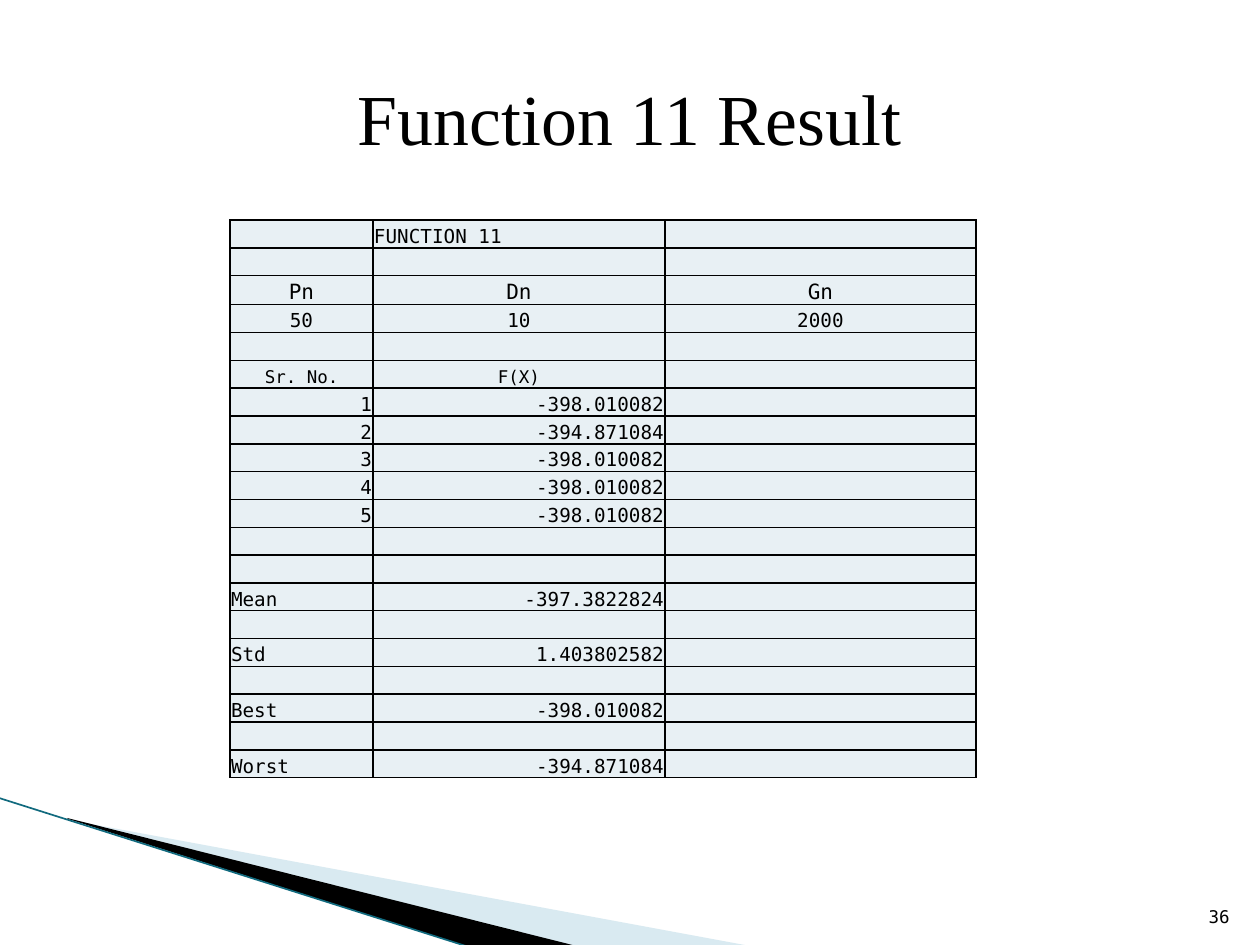
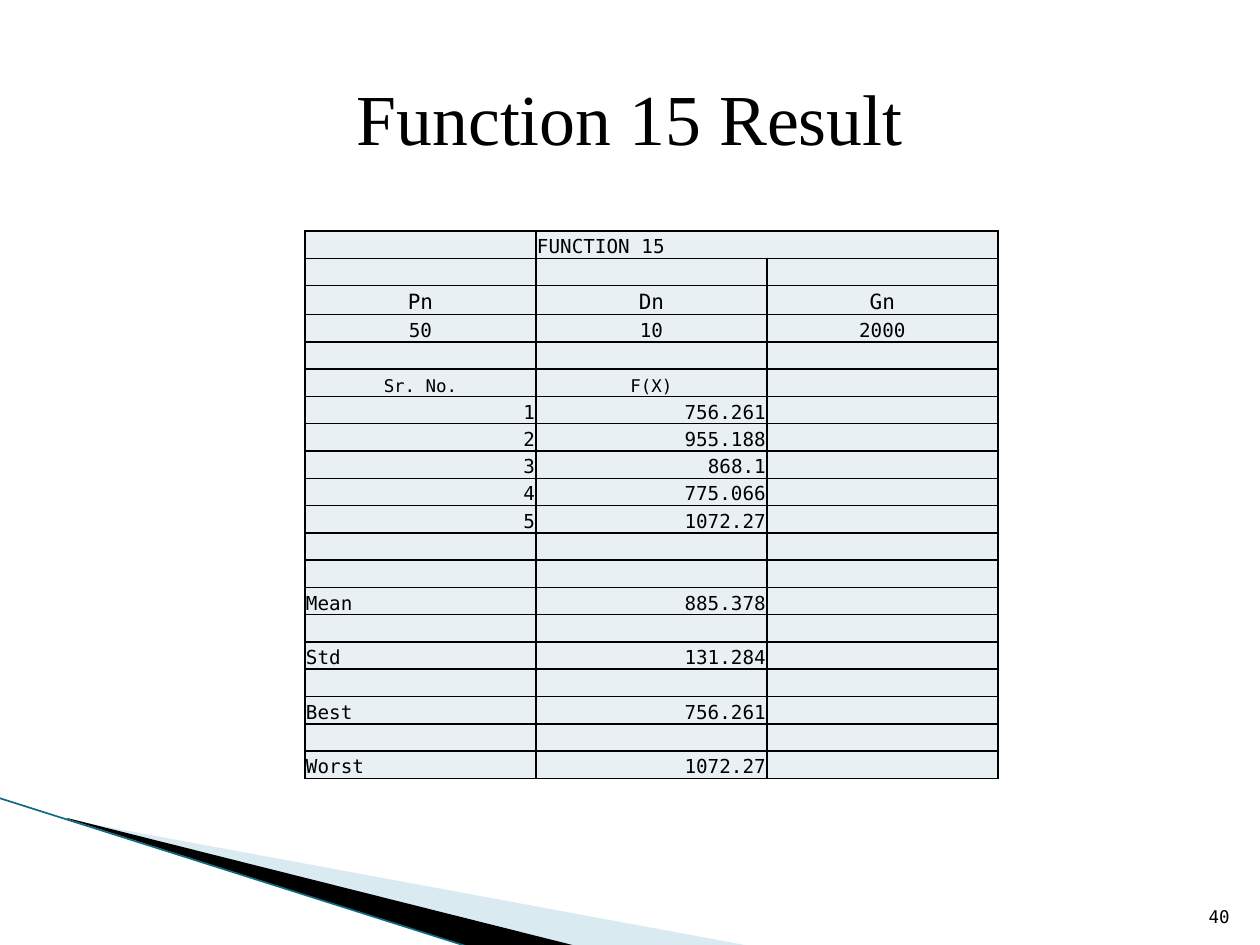
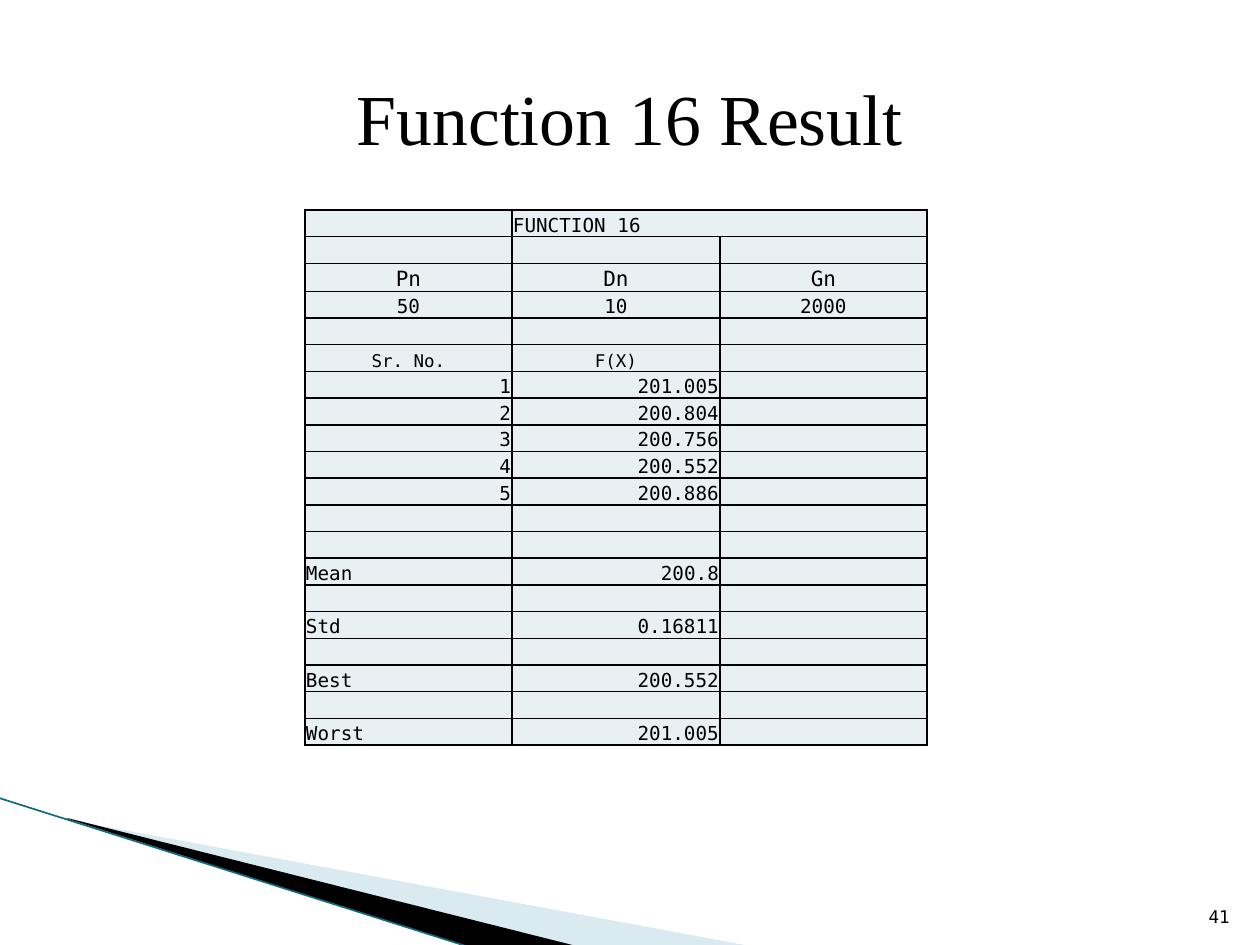
"""Build three slides of optimisation results, one table per test function."""
from lxml import etree
from pptx import Presentation, util as u
from pptx.dml.color import RGBColor
from pptx.enum import shapes, text
from pptx.oxml.ns import qn

PX = 914400 / 126
MONO, SERIF = "DejaVu Sans Mono", "Times New Roman"
BLACK, CELL, BAND, EDGE = "000000", "E8F0F4", "A0CBDC", "116A7E"
LEFT, CENTER, RIGHT = text.PP_ALIGN.LEFT, text.PP_ALIGN.CENTER, text.PP_ALIGN.RIGHT
MIDDLE, BOTTOM = text.MSO_ANCHOR.MIDDLE, text.MSO_ANCHOR.BOTTOM

BANDS = [
    (BAND, 40, [(69, 820), (750, 946), (575, 946), (69, 819)]),
    (BLACK, 100, [(67, 818), (576, 946), (469, 947), (68, 819)]),
]
EDGE_LINE = (-1, 798, 469, 947)
TITLE_BOX = (63, 38, 1134, 157)
NUMBER_BOX = (1192, 883, 50, 50)

RESULTS = [
    {"function": 11, "page": 36, "at": (230, 220), "columns": (143, 292, 311),
     "height": 558, "head": 29, "merged": False,
     "runs": ["-398.010082", "-394.871084", "-398.010082", "-398.010082", "-398.010082"],
     "stats": ["-397.3822824", "1.403802582", "-398.010082", "-394.871084"]},
    {"function": 15, "page": 40, "at": (305, 231), "columns": (231, 231, 231),
     "height": 548, "head": 29, "merged": True,
     "runs": ["756.261", "955.188", "868.1", "775.066", "1072.27"],
     "stats": ["885.378", "131.284", "756.261", "1072.27"]},
    {"function": 16, "page": 41, "at": (305, 210), "columns": (207, 208, 207),
     "height": 536, "head": 28, "merged": True,
     "runs": ["201.005", "200.804", "200.756", "200.552", "200.886"],
     "stats": ["200.8", "0.16811", "200.552", "201.005"]},
]
STATS = ["Mean", "Std", "Best", "Worst"]
HEAD_ROW = 2


def px(n):
    return u.Emu(round(n * PX))


def rgb(value):
    return RGBColor.from_string(value)


def style(p, size, font, align):
    p.alignment = align
    for r in p.runs:
        r.font.size, r.font.name = u.Pt(size), font
        r.font.color.rgb = rgb(BLACK)


def add_text(s, box, words, size, font, align, anchor):
    tf = s.shapes.add_textbox(*map(px, box)).text_frame
    tf.word_wrap, tf.vertical_anchor = True, anchor
    tf.text = words
    style(tf.paragraphs[0], size, font, align)


def add_bands(s):
    for color, opacity, points in BANDS:
        builder = s.shapes.build_freeform(*points[0], scale=PX)
        builder.add_line_segments(points[1:], close=True)
        sp = builder.convert_to_shape()
        sp.shadow.inherit = False
        sp.line.fill.background()
        sp.fill.solid()
        sp.fill.fore_color.rgb = rgb(color)
        if opacity < 100:
            clr = sp.fill._xPr.find(".//" + qn("a:srgbClr"))
            etree.SubElement(clr, qn("a:alpha"), val=str(opacity * 1000))
    edge = s.shapes.add_connector(shapes.MSO_CONNECTOR.STRAIGHT, *map(px, EDGE_LINE))
    edge.line.color.rgb, edge.line.width = rgb(EDGE), u.Pt(0.95)
    etree.SubElement(edge._element.spPr, qn("a:effectLst"))


def table_rows(result):
    """Return rows as (font size, alignments, cell texts)."""
    blank = (11, (LEFT,) * 3, ("", "", ""))
    rows = [
        (11, (LEFT,) * 3, ("", f"FUNCTION {result['function']}", "")),
        blank,
        (12, (CENTER,) * 3, ("Pn", "Dn", "Gn")),
        (11, (CENTER,) * 3, ("50", "10", "2000")),
        blank,
        (10, (CENTER,) * 3, ("Sr. No.", "F(X)", "")),
    ]
    rows += [(11, (RIGHT,) * 3, (str(i), value, ""))
             for i, value in enumerate(result["runs"], 1)]
    rows.append(blank)
    for name, value in zip(STATS, result["stats"]):
        rows += [blank, (11, (LEFT, RIGHT, LEFT), (name, value, ""))]
    return rows


def add_borders(cell):
    tc_pr = cell._tc.get_or_add_tcPr()
    for i, side in enumerate("LRTB"):
        ln = etree.Element(qn("a:ln" + side), w=str(u.Pt(1)))
        fill = etree.SubElement(ln, qn("a:solidFill"))
        etree.SubElement(fill, qn("a:srgbClr"), val=BLACK)
        tc_pr.insert(i, ln)


def fill_cell(cell, words, size, align):
    cell.margin_left = cell.margin_right = cell.margin_top = px(1)
    cell.margin_bottom = 0
    cell.vertical_anchor = BOTTOM
    cell.fill.solid()
    cell.fill.fore_color.rgb = rgb(CELL)
    add_borders(cell)
    p = cell.text_frame.paragraphs[0]
    if words:
        p.text = words
        style(p, size, MONO, align)
    else:
        p._p.get_or_add_endParaRPr().set("sz", str(size * 100))


def add_results(s, result):
    rows = table_rows(result)
    widths, height, head = result["columns"], result["height"], result["head"]
    box = (*result["at"], sum(widths), height)
    table = s.shapes.add_table(len(rows), len(widths), *map(px, box)).table
    table.first_row = table.horz_banding = False
    for column, width in zip(table.columns, widths):
        column.width = px(width)
    for i, (size, aligns, words) in enumerate(rows):
        table.rows[i].height = px(head if i == HEAD_ROW else (height - head) / (len(rows) - 1))
        for j, word in enumerate(words):
            fill_cell(table.cell(i, j), word, size, aligns[j])
    if result["merged"]:
        table.cell(0, 1).merge(table.cell(0, 2))


prs = Presentation()
prs.slide_width, prs.slide_height = px(1260), px(945)
for result in RESULTS:
    s = prs.slides.add_slide(prs.slide_layouts[6])
    add_bands(s)
    add_text(s, NUMBER_BOX, str(result["page"]), 10, MONO, RIGHT, BOTTOM)
    add_text(s, TITLE_BOX, f"Function {result['function']} Result", 41, SERIF, CENTER, MIDDLE)
    add_results(s, result)
prs.save("out.pptx")
